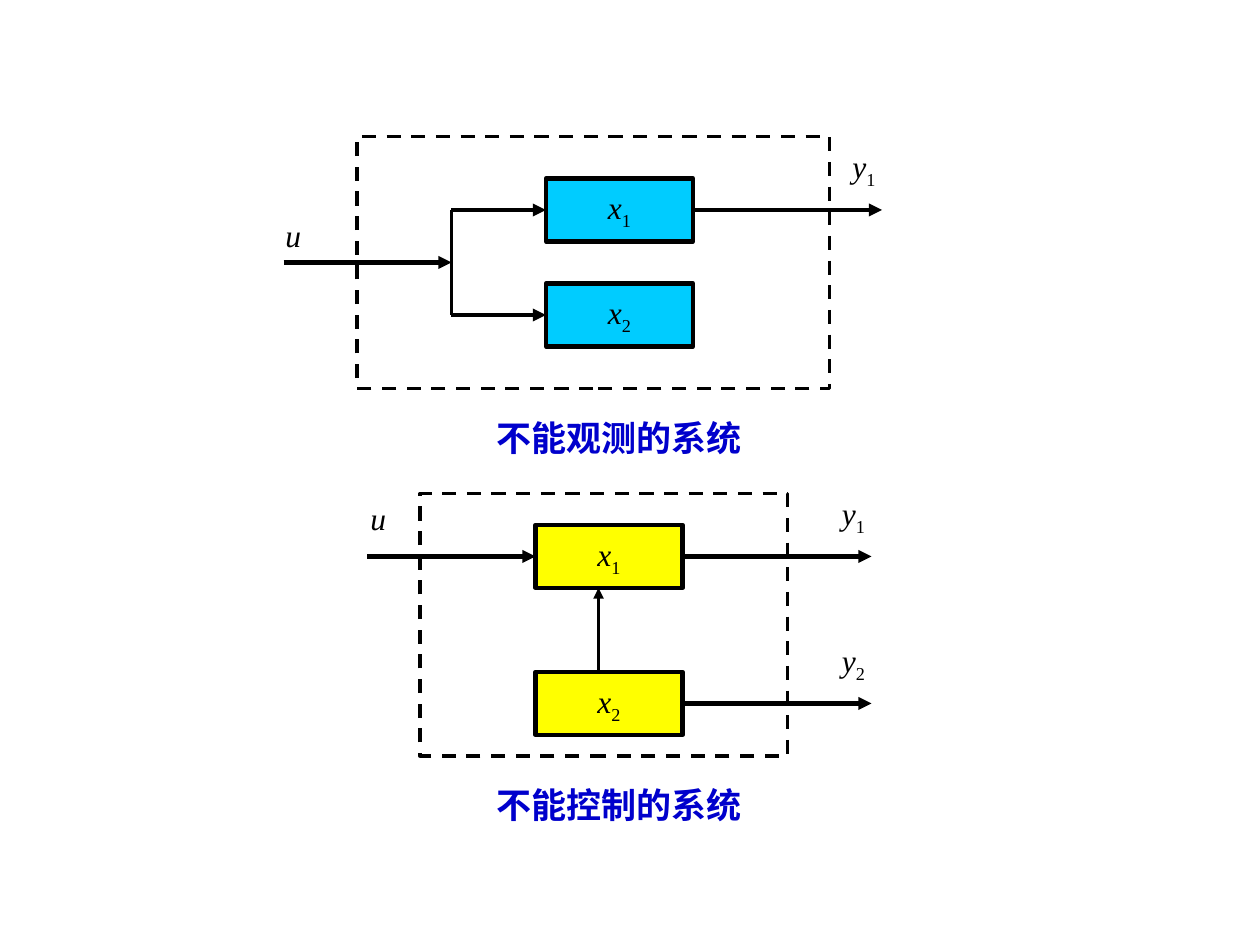
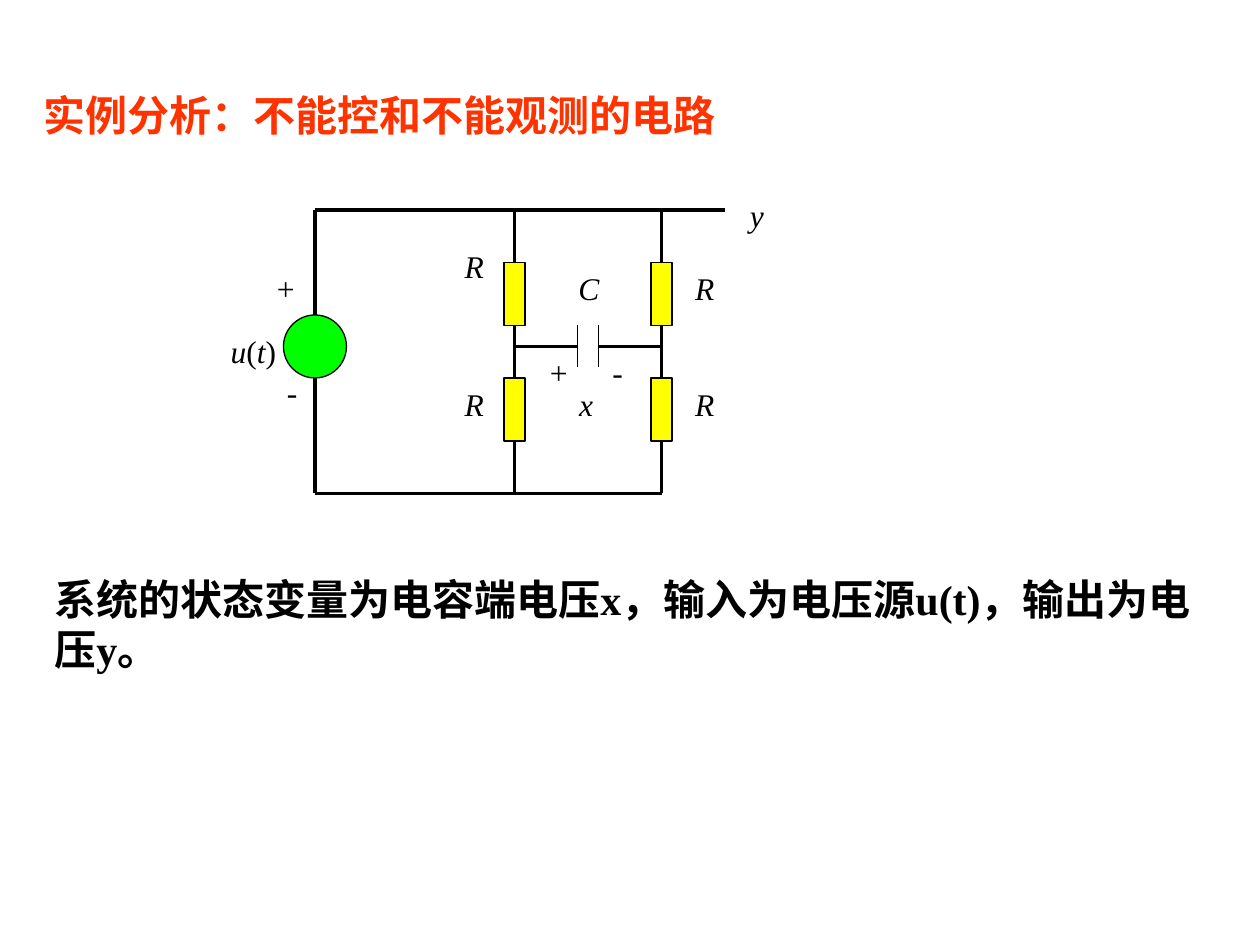
from dataclasses import dataclass

import lxml.etree
import pptx
import pptx.dml.color
import pptx.enum.dml
import pptx.enum.lang
import pptx.enum.shapes
import pptx.enum.text
import pptx.oxml.ns
import pptx.util

Pt = pptx.util.Pt
ALIGN = pptx.enum.text.PP_ALIGN
SHAPE = pptx.enum.shapes.MSO_SHAPE


@dataclass(frozen=True)
class Theme:
    ink: str = "000000"
    caption: str = "0000CC"
    heading: str = "FF3300"
    cyan: str = "00CCFF"
    yellow: str = "FFFF00"
    green: str = "00FF00"
    sans: str = "Arial"
    serif: str = "Times New Roman"
    symbol_size: float = 18
    caption_size: float = 20
    heading_size: float = 24
    arrow: float = 2.5
    wire: float = 2
    thin: float = 0.75


class Diagram:
    """Draws styled elements on the current slide; all lengths are points."""

    def __init__(self, presentation, theme):
        self.presentation = presentation
        self.theme = theme
        self.slide = None

    def new_slide(self):
        layout = self.presentation.slide_layouts[6]
        self.slide = self.presentation.slides.add_slide(layout)

    def color(self, value):
        return pptx.dml.color.RGBColor.from_string(value)

    def shape(self, kind, left, top, width, height, fill=None, weight=None, dashed=False):
        shape = self.slide.shapes.add_shape(kind, Pt(left), Pt(top), Pt(width), Pt(height))
        shape.shadow.inherit = False
        if fill:
            shape.fill.solid()
            shape.fill.fore_color.rgb = self.color(fill)
        else:
            shape.fill.background()
        shape.line.color.rgb = self.color(self.theme.ink)
        shape.line.width = Pt(weight or self.theme.thin)
        if dashed:
            shape.line.dash_style = pptx.enum.dml.MSO_LINE.DASH
        return shape

    def boundary(self, left, top, width, height):
        self.shape(SHAPE.RECTANGLE, left, top, width, height, weight=self.theme.wire, dashed=True)

    def state_box(self, symbol, left, top, fill):
        shape = self.shape(SHAPE.RECTANGLE, left, top, 84, 36, fill, self.theme.arrow)
        shape.text_frame.word_wrap = False
        shape.text_frame.vertical_anchor = pptx.enum.text.MSO_ANCHOR.MIDDLE
        self.write_symbol(shape.text_frame.paragraphs[0], symbol, ALIGN.CENTER)

    def line(self, x1, y1, x2, y2, weight=None, arrow=False):
        connector = self.slide.shapes.add_connector(
            pptx.enum.shapes.MSO_CONNECTOR.STRAIGHT, Pt(x1), Pt(y1), Pt(x2), Pt(y2))
        connector.line.color.rgb = self.color(self.theme.ink)
        connector.line.width = Pt(weight or self.theme.wire)
        qn = pptx.oxml.ns.qn
        if arrow:
            outline = connector.line._get_or_add_ln()
            lxml.etree.SubElement(outline, qn("a:tailEnd"), type="triangle")
        lxml.etree.SubElement(connector._element.spPr, qn("a:effectLst"))

    def arrow(self, x1, y1, x2, y2):
        self.line(x1, y1, x2, y2, self.theme.arrow, arrow=True)

    def text_box(self, left, top, width, height, wrap):
        box = self.slide.shapes.add_textbox(Pt(left), Pt(top), Pt(width), Pt(height))
        frame = box.text_frame
        frame.word_wrap = wrap
        frame.auto_size = pptx.enum.text.MSO_AUTO_SIZE.SHAPE_TO_FIT_TEXT
        frame.vertical_anchor = pptx.enum.text.MSO_ANCHOR.BOTTOM
        return frame

    def write_symbol(self, paragraph, symbol, align):
        """Set digits as subscripts, brackets upright and the rest in italics."""
        paragraph.alignment = align
        for character in symbol:
            run = paragraph.add_run()
            run.text = character
            run.font.name = self.theme.serif
            run.font.size = Pt(self.theme.symbol_size)
            run.font.color.rgb = self.color(self.theme.ink)
            run.font.italic = not character.isdigit() and character not in "()"
            if character.isdigit():
                run._r.get_or_add_rPr().set("baseline", "-25000")

    def symbol(self, symbol, left, top, width=25, height=29, align=ALIGN.CENTER):
        frame = self.text_box(left, top, width, height, wrap=align == ALIGN.LEFT)
        self.write_symbol(frame.paragraphs[0], symbol, align)

    def output_label(self, symbol, left, top):
        self.symbol(symbol, left, top, 45.5, 31.7, ALIGN.LEFT)

    def bold_text(self, text, left, top, width, height, font, size, color, wrap=True):
        frame = self.text_box(left, top, width, height, wrap)
        frame.text = text
        run = frame.paragraphs[0].runs[0]
        run.font.name = font
        run.font.size = Pt(size)
        run.font.bold = True
        run.font.color.rgb = self.color(color)
        run.font.language_id = pptx.enum.lang.MSO_LANGUAGE_ID.SIMPLIFIED_CHINESE

    def caption(self, text, top):
        theme = self.theme
        self.bold_text(text, 276.5, top, 154.8, 31.7, theme.sans,
                       theme.caption_size, theme.caption, wrap=False)


def draw_unobservable_system(diagram):
    branch_x, box_x = 258, 312
    rows = (120, 180)
    for number, y in enumerate(rows, 1):
        diagram.arrow(branch_x, y, box_x, y)
        diagram.state_box(f"x{number}", box_x, y - 18, diagram.theme.cyan)
    diagram.arrow(box_x + 84, rows[0], 504, rows[0])
    diagram.output_label("y1", 480, 80.6)
    diagram.boundary(204, 78, 270, 144)
    diagram.line(branch_x, rows[0], branch_x, rows[1])
    diagram.arrow(162, 150, branch_x, 150)
    diagram.symbol("u", 156, 119.5, 23)
    diagram.caption("不能观测的系统", 234)


def draw_uncontrollable_system(diagram):
    box_x = 306
    rows = (318, 402)
    for number, y in enumerate(rows, 1):
        diagram.state_box(f"x{number}", box_x, y - 18, diagram.theme.yellow)
        diagram.arrow(box_x + 84, y, 498, y)
        diagram.output_label(f"y{number}", 474, y - 39.4)
    diagram.boundary(240, 282, 210, 150)
    diagram.line(342, rows[1] - 18, 342, rows[0] + 18, arrow=True)
    diagram.arrow(210, rows[0], box_x, rows[0])
    diagram.symbol("u", 204.5, 281.5, 23)
    diagram.caption("不能控制的系统", 443.5)


def draw_circuit(diagram):
    theme = diagram.theme
    source_x, bridge_xs = 180, (294, 378)
    top, middle, bottom = 120, 198, 282
    resistor_tops, resistor_height = (150, 216), 36

    diagram.line(source_x, top, 414, top)
    diagram.line(source_x, top, source_x, 180)
    diagram.shape(SHAPE.OVAL, source_x - 18, 180, 36, 36, theme.green)
    diagram.line(source_x, 216, source_x, bottom)
    diagram.line(source_x, bottom, bridge_xs[1], bottom)

    for x in bridge_xs:
        wire_start = top
        for resistor_top in resistor_tops:
            diagram.shape(SHAPE.RECTANGLE, x - 6, resistor_top, 12, resistor_height, theme.yellow)
            diagram.line(x, wire_start, x, resistor_top)
            wire_start = resistor_top + resistor_height
        diagram.line(x, wire_start, x, bottom)

    for x, plate_x in zip(bridge_xs, (330, 342)):
        diagram.line(min(x, plate_x), middle, max(x, plate_x), middle)
        diagram.line(plate_x, middle - 12, plate_x, middle + 12, theme.thin)

    labels = (
        ("R", 258.5, 137.5), ("R", 258.5, 216), ("R", 390.2, 150), ("R", 390.2, 216),
        ("C", 323.5, 150), ("x", 322.5, 216), ("+", 306, 198), ("-", 340.5, 198),
        ("+", 150, 150), ("-", 154.5, 209.5), ("y", 420, 108),
    )
    for symbol, left, label_top in labels:
        diagram.symbol(symbol, left, label_top)
    diagram.symbol("u(t)", 124.5, 186, 40.5)


def main():
    presentation = pptx.Presentation()
    presentation.slide_width = Pt(720)
    presentation.slide_height = Pt(540)
    theme = Theme()
    diagram = Diagram(presentation, theme)

    diagram.new_slide()
    draw_unobservable_system(diagram)
    draw_uncontrollable_system(diagram)

    diagram.new_slide()
    diagram.bold_text("实例分析：不能控和不能观测的电路", 18, 47.5, 438, 36,
                      theme.sans, theme.heading_size, theme.heading)
    draw_circuit(diagram)
    diagram.bold_text("系统的状态变量为电容端电压x，输入为电压源u(t)，输出为电压y。",
                      24, 324, 672, 64.8, theme.serif, theme.heading_size, theme.ink)
    presentation.save("out.pptx")


if __name__ == "__main__":
    main()
